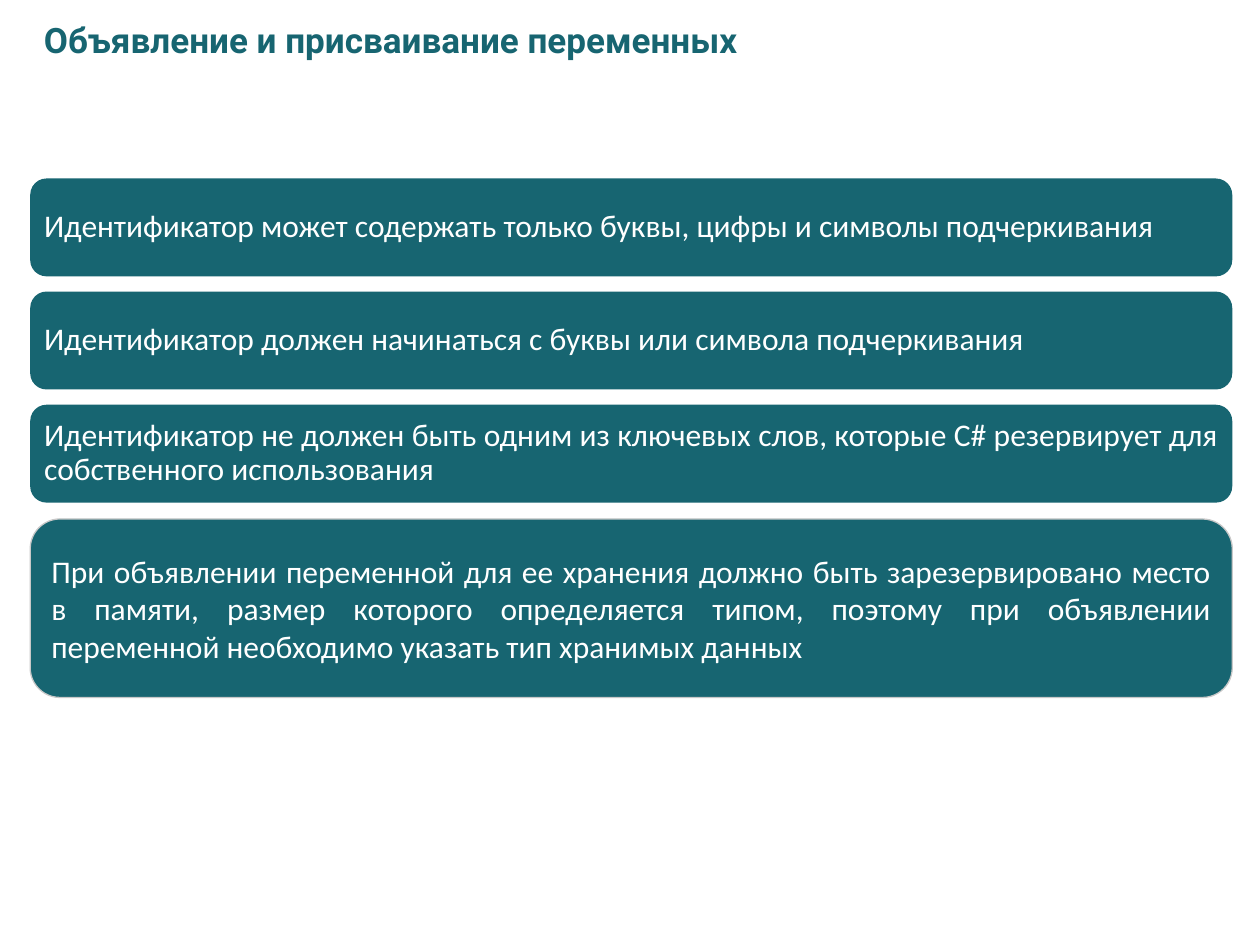
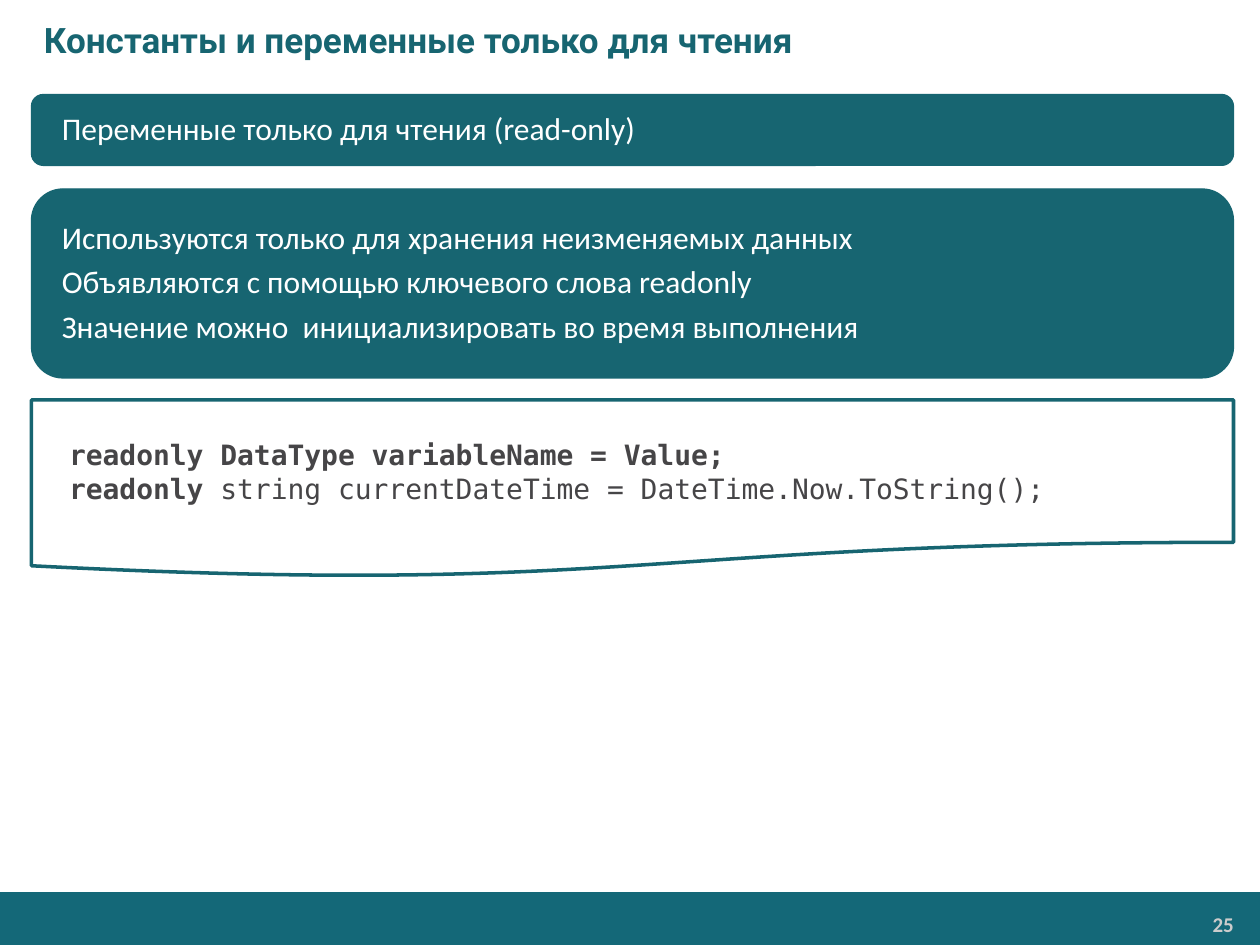
import pptx
import pptx.util
import pptx.dml.color
import pptx.enum.shapes
import pptx.enum.text

Pt = pptx.util.Pt
SHAPE = pptx.enum.shapes.MSO_SHAPE
ALIGN = pptx.enum.text.PP_ALIGN
ANCHOR = pptx.enum.text.MSO_ANCHOR

COLORS = {"teal": "176571", "band": "146878", "white": "FFFFFF",
          "border": "C8C8C8", "number": "CCCCCC", "code": "464547"}
PAGE_W, PAGE_H = 720, 540
PANEL_W = 686.9
TITLE_BOX = (0, 0, PAGE_W, 45)


def rgb(name):
    return pptx.dml.color.RGBColor.from_string(COLORS[name])


def write(shape, paragraphs, font="Calibri", size=18, color="white", bold=False,
          align=ALIGN.JUSTIFY, anchor=ANCHOR.MIDDLE, insets=(7.2, 3.6),
          indent=0, line_spacing=None, gap=0):
    """Fill a shape with paragraphs; each is a string or a list of (text, bold)."""
    frame = shape.text_frame
    frame.word_wrap = True
    frame.vertical_anchor = anchor
    frame.margin_left = frame.margin_right = Pt(insets[0])
    frame.margin_top = frame.margin_bottom = Pt(insets[1])
    for index, content in enumerate(paragraphs):
        paragraph = frame.add_paragraph() if index else frame.paragraphs[0]
        paragraph.alignment = align
        if line_spacing:
            paragraph.line_spacing = line_spacing
        if index and gap:
            paragraph.space_before = Pt(gap)
        if indent:
            properties = paragraph._p.get_or_add_pPr()
            properties.set("marL", str(Pt(indent)))
            properties.set("indent", "0")
        runs = [(content, bold)] if isinstance(content, str) else content
        for text, run_bold in runs:
            run = paragraph.add_run()
            run.text = text
            run.font.name = font
            run.font.size = Pt(size)
            run.font.bold = run_bold
            run.font.color.rgb = rgb(color)


def add_panel(slide, kind, box, fill="teal", line=None, line_width=0.75):
    panel = slide.shapes.add_shape(kind, *map(Pt, box))
    panel.shadow.inherit = False
    panel.fill.solid()
    panel.fill.fore_color.rgb = rgb(fill)
    if line:
        panel.line.color.rgb = rgb(line)
        panel.line.width = Pt(line_width)
    else:
        panel.line.fill.background()
    return panel


def add_label(slide, box, paragraphs, **text_format):
    label = slide.shapes.add_textbox(*map(Pt, box))
    write(label, paragraphs, **text_format)


def add_title(slide, box, title):
    add_label(slide, box, [title], font="Roboto", size=20, color="teal",
              bold=True, align=ALIGN.LEFT, indent=18)


def add_footer(slide, box, number):
    left, top, width, height = box
    add_panel(slide, SHAPE.RECTANGLE, box, fill="band")
    add_label(slide, (left + width - 127.5, top + 8, 117.5, 20), [number],
              size=12, color="number", bold=True, align=ALIGN.RIGHT,
              anchor=ANCHOR.TOP, insets=(5, 3))


def add_rules(slide, box, rules, gap):
    """Stack one rounded bar per rule, evenly spaced down the box."""
    left, top, width, height = box
    bar_height = (height - gap * (len(rules) - 1)) / len(rules)
    for row, rule in enumerate(rules):
        bar_top = top + row * (bar_height + gap)
        bar = add_panel(slide, SHAPE.ROUNDED_RECTANGLE, (left, bar_top, width, bar_height))
        write(bar, [rule], insets=(5.2, 5.2), line_spacing=0.9)


def add_topic(slide, box, topic):
    left, top, width, height = box
    add_panel(slide, SHAPE.ROUNDED_RECTANGLE, box, line="teal")
    caption = add_panel(slide, SHAPE.RECTANGLE,
                        (left + 12.4, top + 2, 373, height - 4), line="teal")
    write(caption, [topic], insets=(5, 5), line_spacing=0.9)


def add_facts(slide, box, facts):
    left, top, width, height = box
    add_panel(slide, SHAPE.ROUNDED_RECTANGLE, box, line="teal")
    add_label(slide, (left + 12.4, top + 8.6, width - 66, height - 17.2), facts,
              insets=(5, 5), line_spacing=0.9, gap=6)


def add_code(slide, box, lines):
    sheet = add_panel(slide, SHAPE.FLOWCHART_DOCUMENT, box, fill="white",
                      line="teal", line_width=2)
    write(sheet, lines, font="DejaVu Sans Mono", size=16, color="code",
          align=ALIGN.LEFT, indent=14.4)


def build_declaration_slide(slide):
    left = 17.3
    add_title(slide, TITLE_BOX, "Объявление и присваивание переменных")
    add_rules(slide, (left, 102, PANEL_W, 185.2), [
        "Идентификатор может содержать только буквы, цифры и символы подчеркивания",
        "Идентификатор должен начинаться с буквы или символа подчеркивания",
        "Идентификатор не должен быть одним из ключевых слов, которые C# "
        "резервирует для собственного использования",
    ], gap=8.7)
    memory = add_panel(slide, SHAPE.ROUNDED_RECTANGLE, (left, 296.6, PANEL_W, 102),
                       line="border")
    write(memory, ["При объявлении переменной для ее хранения должно быть "
                   "зарезервировано место в памяти, размер которого определяется "
                   "типом, поэтому при объявлении переменной необходимо указать "
                   "тип хранимых данных"])


def build_readonly_slide(slide):
    left = 18
    add_footer(slide, (0, 509.8, PAGE_W, PAGE_H - 509.8), "25")
    add_title(slide, TITLE_BOX, "Константы и переменные только для чтения")
    add_facts(slide, (left, 108, PANEL_W, 108), [
        "Используются только для хранения неизменяемых данных",
        "Объявляются с помощью ключевого слова readonly",
        "Значение можно  инициализировать во время выполнения",
    ])
    add_topic(slide, (left, 54, PANEL_W, 40.5), "Переменные только для чтения (read-only)")
    add_code(slide, (left, 228.5, PANEL_W, 101.5), [
        [("readonly DataType variableName = Value;", True)],
        [("readonly", True), (" string currentDateTime = DateTime.Now.ToString();", False)],
    ])


def main():
    deck = pptx.Presentation()
    deck.slide_width, deck.slide_height = Pt(PAGE_W), Pt(PAGE_H)
    for build in (build_declaration_slide, build_readonly_slide):
        build(deck.slides.add_slide(deck.slide_layouts[6]))
    deck.save("out.pptx")


if __name__ == "__main__":
    main()
